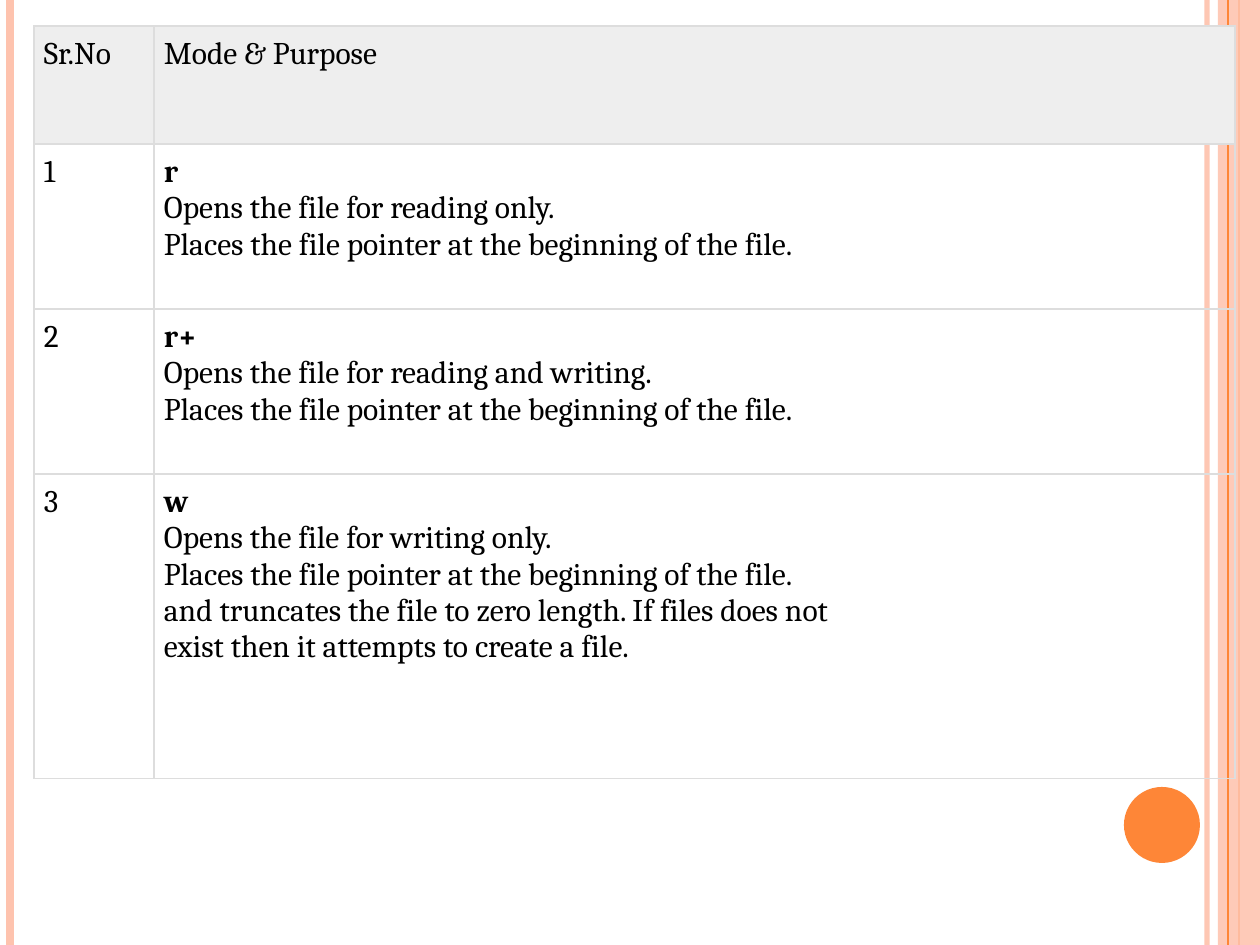
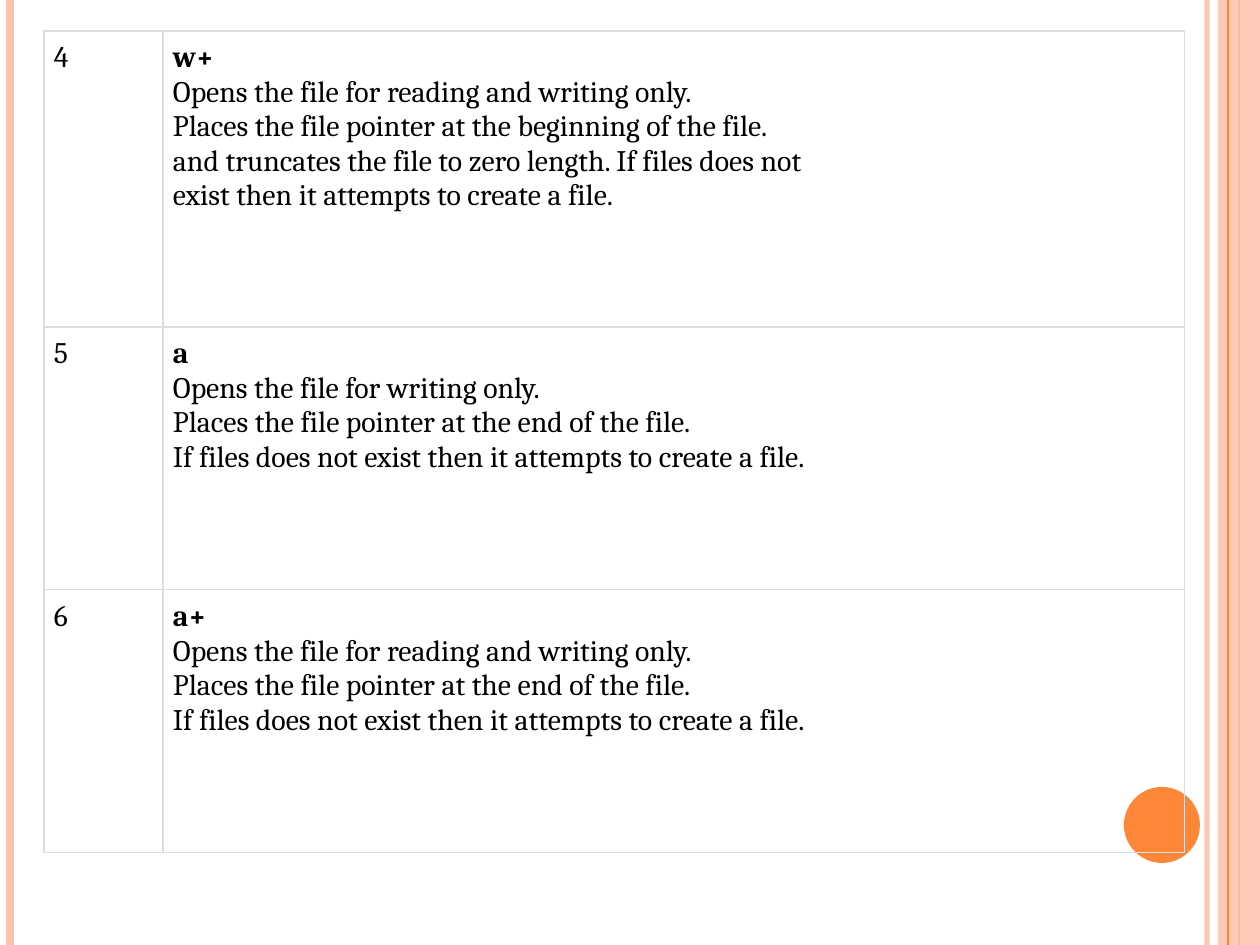
import pptx
import pptx.util
import pptx.dml.color
import pptx.enum.shapes
import pptx.enum.text
import pptx.oxml
import pptx.oxml.ns
from lxml import etree

PX = 914400 // 126
W, H = 1260, 945
FONT = "Cambria"
COLORS = {"peach": "FEC3AE", "orange": "FE8637", "header": "EEEEEE",
          "border": "DDDDDD", "text": "000000"}
RGB = {name: pptx.dml.color.RGBColor.from_string(c) for name, c in COLORS.items()}
SHAPES = pptx.enum.shapes.MSO_SHAPE
ALIGN = pptx.enum.text.PP_ALIGN
qn = pptx.oxml.ns.qn

START = "Places the file pointer at the beginning of the file."
END = "Places the file pointer at the end of the file."
TRUNCATE = ["and truncates the file to zero length. If files does not",
            "exist then it attempts to create a file."]
CREATE = "If files does not exist then it attempts to create a file."
READ_WRITE = "Opens the file for reading and writing only."
WRITE = "Opens the file for writing only."

# Each row: height, number, lines of the second cell
TABLES = [
    {"at": (34, 26), "cols": (120, 1081), "size": 18, "header": True, "rows": [
        (118, "Sr.No", ["Mode & Purpose"]),
        (165, "1", ["r", "Opens the file for reading only.", START]),
        (165, "2", ["r+", "Opens the file for reading and writing.", START]),
        (305, "3", ["w", WRITE, START, *TRUNCATE])]},
    {"at": (44, 31), "cols": (119, 1022), "size": 17, "header": False, "rows": [
        (296, "4", ["w+", READ_WRITE, START, *TRUNCATE]),
        (263, "5", ["a", WRITE, END, CREATE]),
        (263, "6", ["a+", READ_WRITE, END, CREATE])]},
]

# Vertical lines: x, colour, width in points, opacity in percent
BACK_LINES = [(1207, "peach", 3, 93), (10, "peach", 4.5, 100), (1239, "orange", 1.5, 100)]
FRONT_LINES = [(1228, "orange", 0.75, 100)]


def set_opacity(sp, percent):
    color = next(sp._element.iter(qn("a:srgbClr")))
    etree.SubElement(color, qn("a:alpha"), val=str(percent * 1000))


def add_rules(s, rules):
    """Draw full-height vertical lines."""
    for x, color, width, opacity in rules:
        line = s.shapes.add_connector(pptx.enum.shapes.MSO_CONNECTOR.STRAIGHT,
                                      x * PX, 0, x * PX, H * PX)
        line.line.color.rgb = RGB[color]
        line.line.width = pptx.util.Pt(width)
        if opacity < 100:
            set_opacity(line, opacity)
        etree.SubElement(line._element.spPr, qn("a:effectLst"))


prs = pptx.Presentation()
prs.slide_width, prs.slide_height = pptx.util.Inches(10), pptx.util.Inches(7.5)

for spec_table in TABLES:
    s = prs.slides.add_slide(prs.slide_layouts[6])

    add_rules(s, BACK_LINES)
    band = s.shapes.add_shape(SHAPES.RECTANGLE, 1218 * PX, 0, 42 * PX, H * PX)
    disc = s.shapes.add_shape(SHAPES.OVAL, 1124 * PX, 787 * PX, 76 * PX, 76 * PX)
    for sp, color in ((band, "peach"), (disc, "orange")):
        sp.shadow.inherit = False
        sp.fill.solid()
        sp.fill.fore_color.rgb = RGB[color]
        sp.line.fill.background()
    set_opacity(band, 87)
    add_rules(s, FRONT_LINES)

    rows, cols = spec_table["rows"], spec_table["cols"]
    left, top = spec_table["at"]
    frame = s.shapes.add_table(len(rows), len(cols), left * PX, top * PX,
                               sum(cols) * PX, sum(row[0] for row in rows) * PX)
    table = frame.table
    table.first_row = spec_table["header"]
    table.horz_banding = False
    for column, width in zip(table.columns, cols):
        column.width = width * PX

    for i, (height, number, lines) in enumerate(rows):
        is_header = spec_table["header"] and i == 0
        table.rows[i].height = height * PX
        for j, texts in enumerate(([number], lines)):
            cell = table.cell(i, j)
            cell.margin_left = cell.margin_right = 10 * PX
            cell.margin_top = cell.margin_bottom = 10 * PX
            tcPr = cell._tc.get_or_add_tcPr()
            for side in ("lnL", "lnR", "lnT", "lnB"):
                ln = etree.SubElement(tcPr, qn("a:" + side), w=str(pptx.util.Pt(0.75)))
                fill = etree.SubElement(ln, qn("a:solidFill"))
                etree.SubElement(fill, qn("a:srgbClr"), val=COLORS["border"])
            if is_header:
                cell.fill.solid()
                cell.fill.fore_color.rgb = RGB["header"]
            else:
                cell.fill.background()

            cell.text = "\n".join(texts)
            for k, p in enumerate(cell.text_frame.paragraphs):
                is_mode = j == 1 and k == 0 and not is_header
                p.alignment = ALIGN.JUSTIFY if j == 1 and not is_header else ALIGN.LEFT
                p.font.name = FONT
                p.font.size = pptx.util.Pt(spec_table["size"])
                p.font.bold = is_mode
                p.font.color.rgb = RGB["text"]

prs.save("out.pptx")
